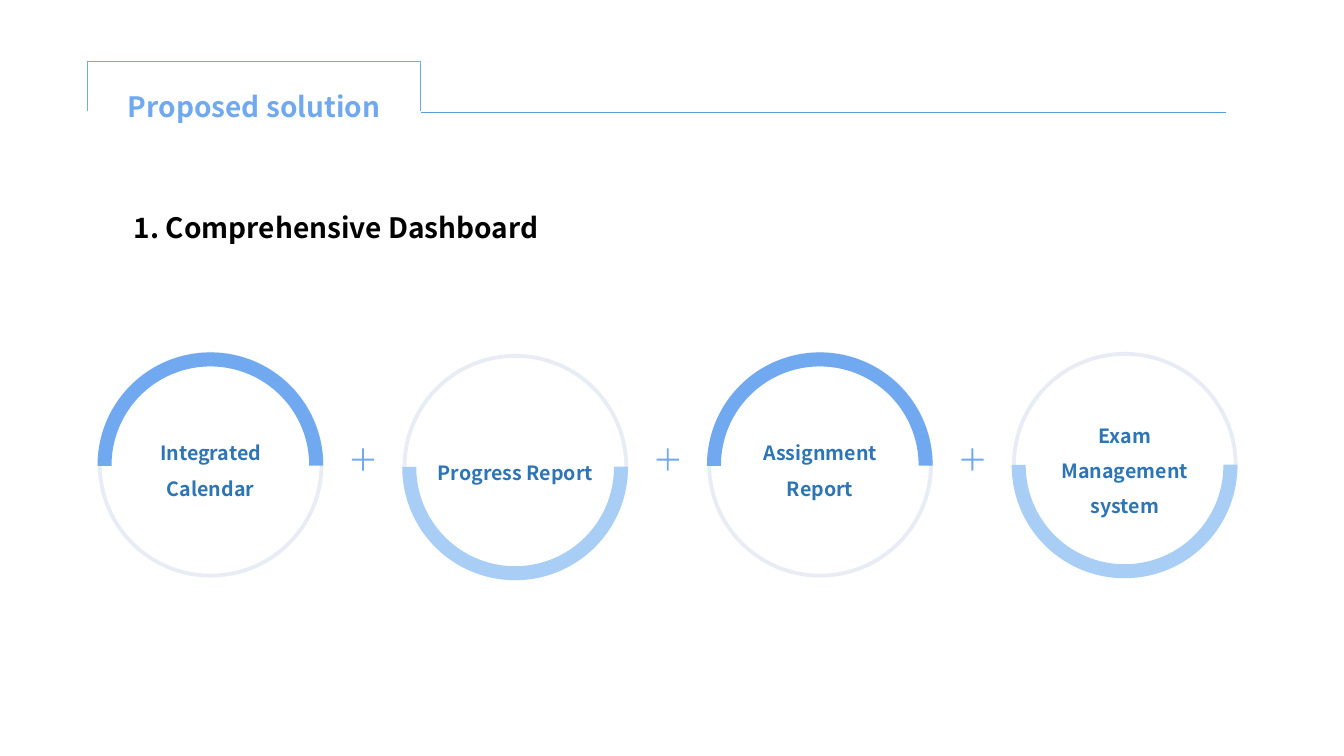
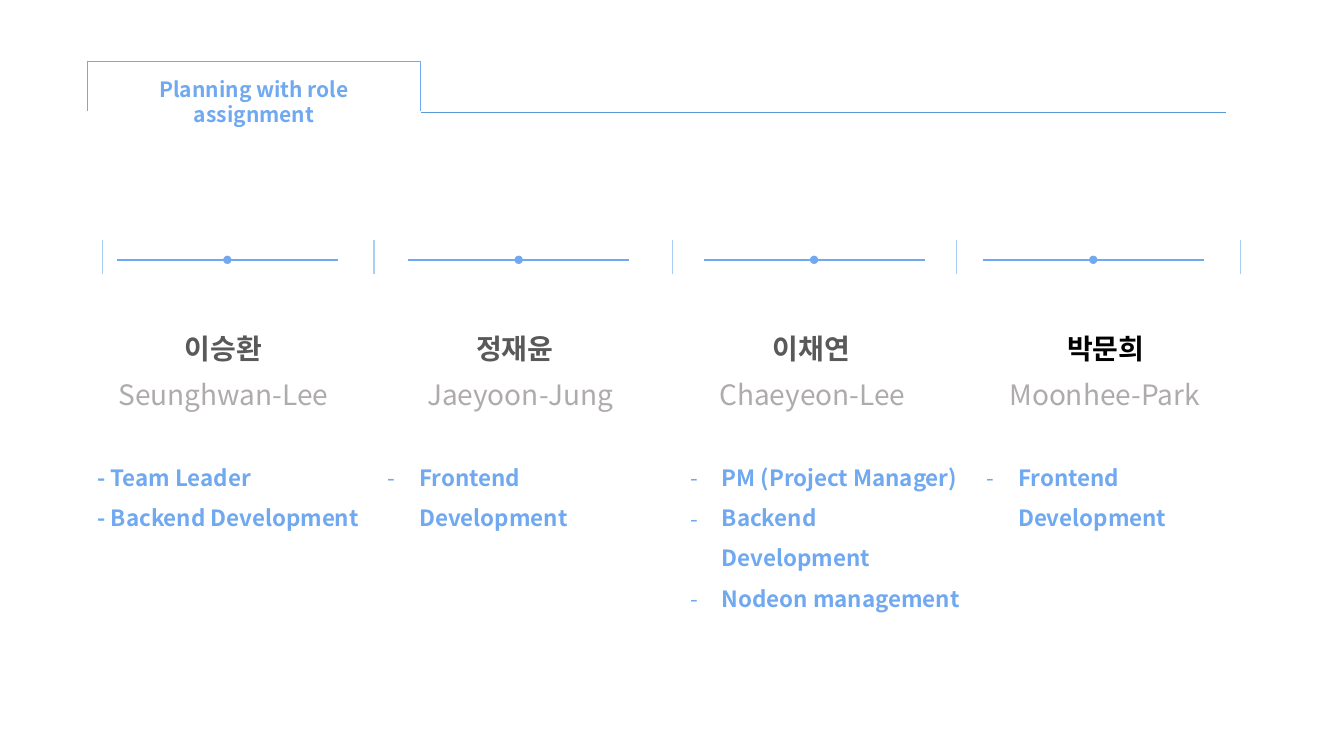
"""Build a two-slide deck: a dashboard solution and a team plan."""
from dataclasses import dataclass

from lxml.etree import SubElement as Sub
from pptx import Presentation
from pptx.dml.color import RGBColor as Rgb
from pptx.enum.shapes import MSO_CONNECTOR as Wire, MSO_SHAPE as Kind
from pptx.enum.text import MSO_ANCHOR as Anchor, MSO_AUTO_SIZE as Auto, PP_ALIGN as Align
from pptx.oxml.ns import qn
from pptx.util import Pt


@dataclass(frozen=True)
class Theme:
    font: str = "Noto Sans CJK KR"
    blue: str = "70A9F0"
    pale: str = "A8CEF5"
    rule: str = "5B9BD5"
    deep: str = "2E75B6"
    mist: str = "E8EDF5"
    white: str = "FFFFFF"
    black: str = "000000"
    dark: str = "595959"
    gray: str = "AFABAB"
    big: int = 20
    task: int = 16
    small: int = 15
    ring: int = 14


look = Theme()

rings = [
    ("Integrated Calendar", 0),
    ("Progress Report", 1.4),
    ("Assignment Report", 0),
    ("Exam Management system", 0),
]
cols = [193.7, 213.1, 203, 203]
team = [
    dict(name="이승환 ", roman="Seunghwan-Lee ", color=look.dark, bullet=None,
         tasks="- Team Leader\n- Backend Development",
         dash=83.5, name_x=73.4, roman_x=73.4, task_x=62.6),
    dict(name="정재윤 ", roman="Jaeyoon-Jung", color=look.dark, bullet="-",
         tasks="Frontend Development",
         dash=291.6, name_x=281.5, roman_x=283, task_x=270),
    dict(name="이채연 ", roman="Chaeyeon-Lee", color=look.dark, bullet="-",
         tasks="PM (Project Manager)\nBackend Development\nNodeon management",
         dash=502.6, name_x=493.2, roman_x=491.8, task_x=486),
    dict(name="박문희", roman="Moonhee-Park ", color=look.black, bullet="-",
         tasks="Frontend Development",
         dash=702, name_x=701.3, roman_x=702.7, task_x=697.7),
]


def write(frame, text, size=look.big, color=look.blue, bold=True,
          align=Align.LEFT, lead=1.5, bullet=None):
    """Fill a text frame with formatted paragraphs."""
    frame.word_wrap = True
    frame.text = text
    for para in frame.paragraphs:
        para.alignment = align
        para.line_spacing = lead
        if bullet:
            props = para._p.get_or_add_pPr()
            props.set("marL", str(Pt(22.5)))
            props.set("indent", str(-Pt(22.5)))
            Sub(props, qn("a:buFont"), typeface=look.font)
            Sub(props, qn("a:buChar"), char=bullet)
        for run in para.runs:
            font = run.font
            font.name, font.size, font.bold = look.font, Pt(size), bold
            font.color.rgb = Rgb.from_string(color)
            Sub(run._r.get_or_add_rPr(), qn("a:ea"), typeface=look.font)


def label(slide, box, text, **style):
    """Add a text box."""
    write(slide.shapes.add_textbox(*map(Pt, box)).text_frame, text, **style)


def shape(slide, kind, box, fill=None, line=None, width=1, adj=()):
    """Add a flat preset shape."""
    item = slide.shapes.add_shape(kind, *map(Pt, box))
    item.shadow.inherit = False
    if fill:
        item.fill.solid()
        item.fill.fore_color.rgb = Rgb.from_string(fill)
    else:
        item.fill.background()
    if line:
        item.line.color.rgb = Rgb.from_string(line)
        item.line.width = Pt(width)
    else:
        item.line.fill.background()
    for spot, value in enumerate(adj):
        item.adjustments[spot] = value
    return item


def wire(slide, start, end, color, width, dot=False):
    """Add a straight line, with a dot at its end on request."""
    item = slide.shapes.add_connector(Wire.STRAIGHT, *map(Pt, start + end))
    item.line.color.rgb = Rgb.from_string(color)
    item.line.width = Pt(width)
    props = item._element.spPr
    if dot:
        Sub(props.find(qn("a:ln")), qn("a:tailEnd"), type="oval")
    Sub(props, qn("a:effectLst"))


def page(deck, text, top, size, lead):
    """Add a slide with its tab, rule and title."""
    slide = deck.slides.add_slide(deck.slide_layouts[5])
    tab = shape(slide, Kind.RIGHT_BRACKET, (163.4, -57.6, 36, 238.3),
                line=look.blue, width=0.5, adj=[0])
    tab.rotation = 270
    wire(slide, (301, 80), (875.5, 80), look.rule, 0.5)
    title = slide.shapes.title
    title.left, title.top, title.width, title.height = map(Pt, (78.2, top, 206.6, 39))
    frame = title.text_frame
    write(frame, text, size=size, align=Align.CENTER, lead=lead)
    frame.auto_size = Auto.NONE
    frame.vertical_anchor = Anchor.TOP
    return slide


def solve(deck):
    """Draw the dashboard slide."""
    slide = page(deck, "Proposed solution", 48.2, look.big, 1.5)
    label(slide, (88.6, 134.6, 499, 39), "1. Comprehensive Dashboard", color=look.black)
    left, top, size, step = 71.3, 252.8, 158.4, 217.65
    arc, plus = 151.2, 21.6
    for spot, (text, drop) in enumerate(rings):
        x, y = left + spot * step, top + drop
        ring = shape(slide, Kind.OVAL, (x, y, size, size), look.white, look.mist, 2.75)
        frame = ring.text_frame
        write(frame, text, size=look.ring, color=look.deep, align=Align.CENTER)
        frame.margin_left = frame.margin_right = frame.margin_top = frame.margin_bottom = 0
        frame.vertical_anchor = Anchor.MIDDLE
        low = spot % 2
        half = shape(slide, Kind.ARC, (x + 3.4, y + 4, arc, arc),
                     line=look.pale if low else look.blue, width=10, adj=[107.769, 0.158])
        half.rotation = 180 * low
        if spot:
            mid = x - (step - size) / 2
            shape(slide, Kind.MATH_PLUS, (mid - plus / 2, 317.5, plus, plus),
                  look.blue, adj=[0.062])


def grid(slide):
    """Add the table whose borders part the members."""
    item = slide.shapes.add_table(1, len(cols), Pt(73.4), Pt(172), Pt(sum(cols)), Pt(23))
    table = item.table
    table.first_row = table.horz_banding = False
    for col, width, cell in zip(table.columns, cols, table.rows[0].cells):
        col.width = Pt(width)
        cell.margin_left = cell.margin_right = cell.margin_top = cell.margin_bottom = 0
        props = cell._tc.get_or_add_tcPr()
        for side in ("a:lnL", "a:lnR"):
            edge = Sub(props, qn(side), w=str(Pt(1)))
            Sub(Sub(edge, qn("a:solidFill")), qn("a:srgbClr"), val=look.pale)
        cell.fill.background()


def plan(deck):
    """Draw the team slide."""
    slide = page(deck, "Planning with role\vassignment", 51.1, look.small, 1)
    grid(slide)
    half, y, wide = 78.9, 185.6, 177.1
    for who in team:
        x = who["dash"]
        mid = (x + half, y)
        wire(slide, mid, (x, y), look.blue, 1)
        wire(slide, (x + 2 * half, y), mid, look.blue, 1, dot=True)
        label(slide, (who["name_x"], 221, wide, 39), who["name"],
              color=who["color"], align=Align.CENTER)
        label(slide, (who["roman_x"], 254.2, wide, 39), who["roman"],
              color=look.gray, bold=False, align=Align.CENTER)
        label(slide, (who["task_x"], 318.2, 212, 82), who["tasks"],
              size=look.task, bullet=who["bullet"])


def main():
    """Build and save the deck."""
    deck = Presentation()
    deck.slide_width, deck.slide_height = Pt(960), Pt(540)
    solve(deck)
    plan(deck)
    deck.save("out.pptx")


if __name__ == "__main__":
    main()
